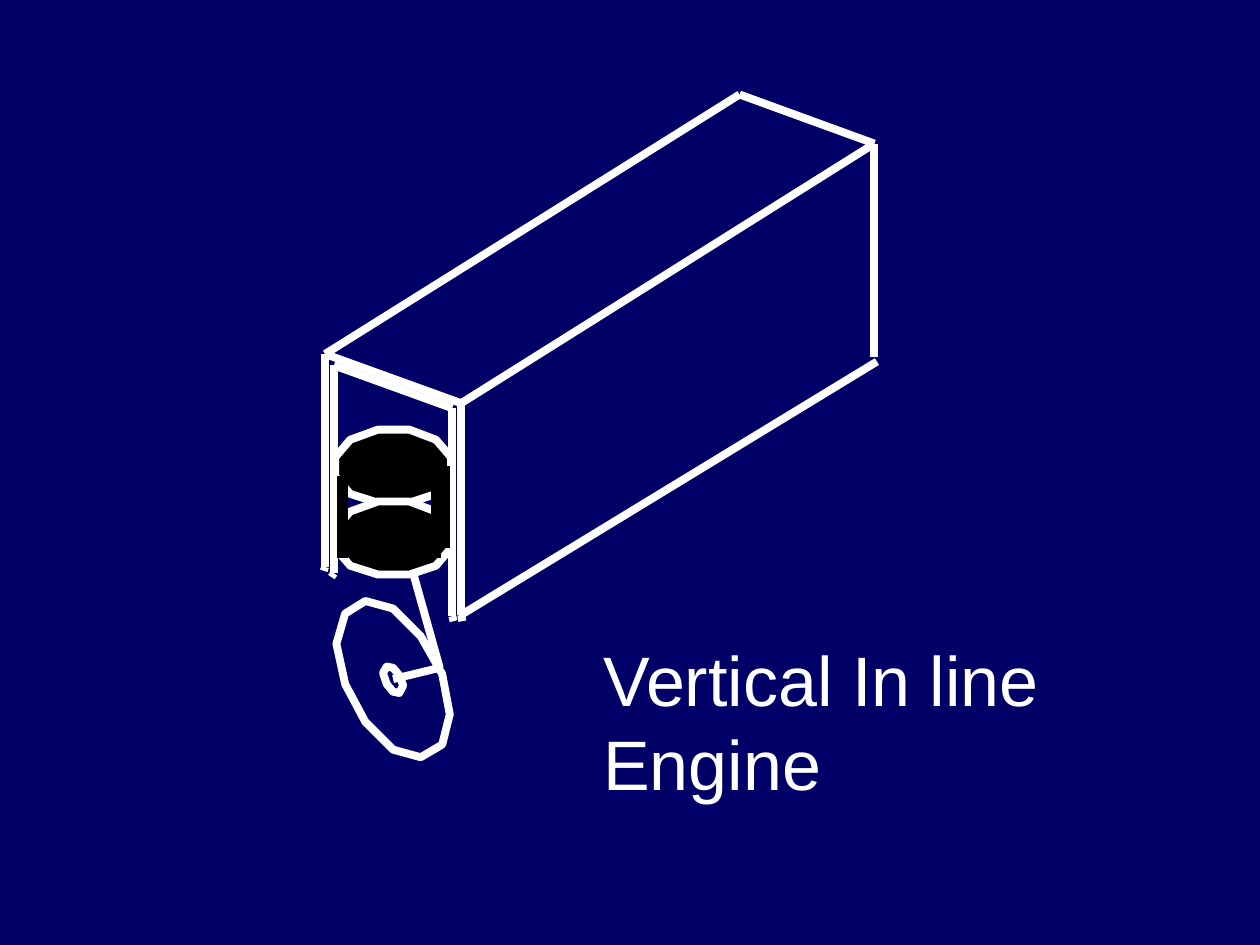
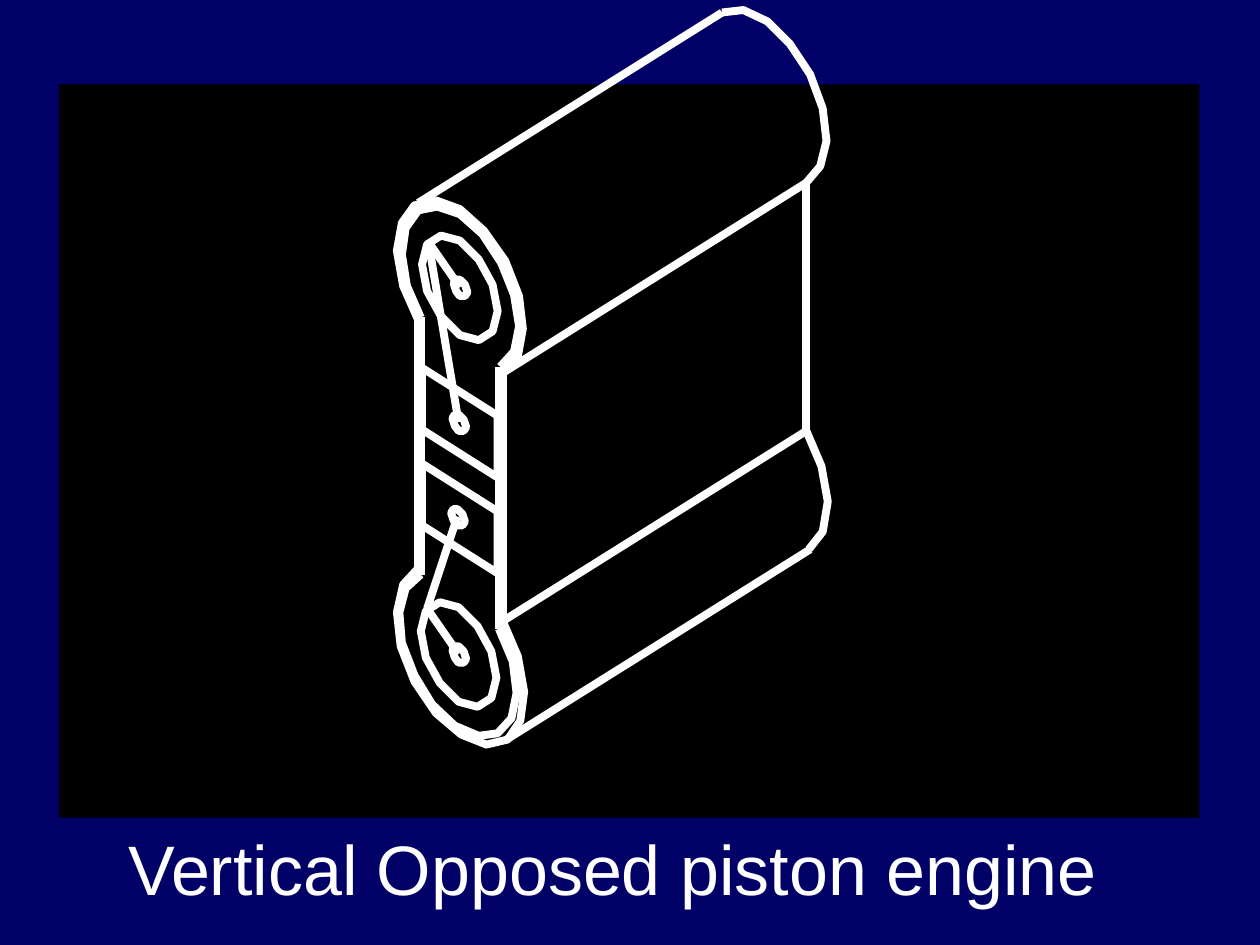
from dataclasses import dataclass

from lxml import etree
from pptx import Presentation
from pptx import util as u
from pptx.dml.color import RGBColor
from pptx.enum import text

COLORS = {"navy": "000066", "white": "FFFFFF", "black": "000000"}
CAPTION_FONT = {"name": "Arial", "size": u.Pt(40)}
CAPTION_SPACING = {"line_spacing": u.Pt(48)}
PEN = 4.5
WALL_PEN = 6

# Grid: 1000 columns by 750 rows of square cells
COLUMNS, ROWS = 1000, 750
CELL = u.Inches(10) // COLUMNS

Point = tuple[float, float]


@dataclass(frozen=True)
class Edge:
    start: Point
    end: Point
    color: str = "white"
    width: float = PEN


@dataclass(frozen=True)
class Outline:
    points: tuple[Point, ...]
    closed: bool = True
    fill: str | None = None


@dataclass(frozen=True)
class Caption:
    words: str
    column: float
    row: float
    columns: float
    rows: float


def rgb(name: str) -> RGBColor:
    return RGBColor.from_string(COLORS[name])


def shift(points, by: Point) -> tuple[Point, ...]:
    return tuple((x + by[0], y + by[1]) for x, y in points)


def draw_edge(shapes, edge: Edge) -> None:
    ends = [round(value * CELL) for value in (*edge.start, *edge.end)]
    line = shapes.add_connector(1, *ends)
    line.line.color.rgb = rgb(edge.color)
    line.line.width = u.Pt(edge.width)
    properties = line._element.spPr
    etree.SubElement(properties, properties.tag.replace("}spPr", "}effectLst").replace(
        "presentationml", "drawingml").replace("2006/main}", "2006/main}"))


def draw_outline(shapes, outline: Outline) -> None:
    first, *rest = outline.points
    builder = shapes.build_freeform(*first, scale=CELL)
    builder.add_line_segments(rest, close=outline.closed)
    figure = builder.convert_to_shape()
    figure.shadow.inherit = False
    if outline.fill:
        figure.fill.solid()
        figure.fill.fore_color.rgb = rgb(outline.fill)
    else:
        figure.fill.background()
    figure.line.color.rgb = rgb("white")
    figure.line.width = u.Pt(PEN)


def draw(shapes, parts) -> None:
    for part in parts:
        (draw_edge if isinstance(part, Edge) else draw_outline)(shapes, part)


def draw_caption(shapes, caption: Caption) -> None:
    place = (caption.column, caption.row, caption.columns, caption.rows)
    frame = shapes.add_textbox(*(round(value * CELL) for value in place)).text_frame
    frame.word_wrap = True
    frame.auto_size = text.MSO_AUTO_SIZE.SHAPE_TO_FIT_TEXT
    paragraph = frame.paragraphs[0]
    run = paragraph.add_run()
    run.text = caption.words
    for target, values in ((run.font, CAPTION_FONT), (paragraph, CAPTION_SPACING)):
        for key, value in values.items():
            setattr(target, key, value)
    run.font.color.rgb = rgb("white")


def new_slide(deck):
    slide = deck.slides.add_slide(deck.slide_layouts[6])
    slide.background.fill.solid()
    slide.background.fill.fore_color.rgb = rgb("navy")
    return slide


# In-line engine
CYLINDER_BLOCK = [Edge(*ends) for ends in (
    # Front uprights and their feet
    ((258, 450), (258, 281)), ((366, 488), (366, 320)),
    ((359, 489), (359, 324)), ((265, 455), (265, 290)),
    ((258, 450), (257, 453)), ((265, 455), (263, 458)),
    ((360, 493), (359, 489)), ((367, 493), (366, 488)),
    # Front top, back, and edges running backwards
    ((366, 320), (258, 281)), ((359, 324), (265, 290)),
    ((694, 283), (694, 114)), ((694, 114), (587, 75)),
    ((366, 320), (694, 114)), ((366, 488), (696, 287)),
    ((258, 281), (587, 75)),
)]
CRANK_HUB = ((304, 534), (307, 529), (312, 530), (317, 536),
             (320, 544), (317, 550), (312, 549), (307, 543))
CRANK_WHEEL = ((267, 511), (274, 487), (290, 477), (312, 483), (334, 505), (351, 535),
               (357, 567), (351, 591), (334, 601), (312, 595), (290, 573), (274, 543))
PISTON_CROWN = ((278, 392), (266, 378), (266, 363), (278, 349), (300, 341), (325, 341),
                (346, 349), (358, 363), (358, 378), (346, 392), (325, 399), (300, 399))
CRANK = [
    Outline(CRANK_HUB),
    Edge((312, 539), (349, 530)),
    Edge((349, 530), (312, 398)),
    Outline(CRANK_WHEEL),
]
PISTON = [Outline(shift(PISTON_CROWN, (0, drop)), fill="black") for drop in (0, 57)]
PISTON += [Edge((x, bottom), (x, bottom - 65), "black", WALL_PEN)
           for x, bottom in ((346, 443), (353, 435), (272, 443))]

# Opposed piston engine: outlines relative to a hub
WHEEL = ((30, 19), (26, -2), (15, -22), (0, -37), (-15, -41), (-26, -34),
         (-30, -18), (-26, 3), (-15, 23), (0, 38), (15, 42), (26, 35))
PIN = ((6, 4), (4, -2), (0, -6), (-3, -6), (-5, -3), (-3, 3), (0, 7), (4, 7))
THROW = (-25, -36)
PISTON_SIDE = ((335, 341), (335, 292), (395, 330), (395, 379))
DEPTH = (241, -151)
CASINGS = (
    # Upper inner and outer, lower inner and outer, then the two at the back
    ((397, 291), (408, 279), (412, 259), (408, 234), (398, 209), (383, 186), (365, 170),
     (347, 164), (332, 167), (322, 181), (319, 202), (323, 227), (334, 252)),
    ((399, 296), (411, 283), (415, 261), (412, 235), (401, 207), (384, 183), (365, 166),
     (346, 159), (329, 163), (319, 177), (315, 199), (320, 227), (332, 254)),
    ((334, 456), (322, 467), (317, 486), (319, 510), (329, 536), (343, 559), (361, 576),
     (380, 584), (395, 582), (406, 570), (410, 550), (407, 525), (396, 499)),
    ((332, 451), (320, 464), (315, 486), (318, 513), (329, 541), (346, 566), (366, 583),
     (386, 591), (403, 587), (413, 572), (416, 549), (411, 521), (399, 493)),
    ((640, 145), (651, 132), (656, 112), (653, 86), (643, 59), (627, 35), (609, 17),
     (590, 8), (573, 10)),
    ((642, 436), (653, 422), (657, 398), (652, 370), (640, 342)),
)
UPRIGHTS = ((399, 296, 493), (332, 254, 451), (334, 252, 456), (396, 291, 499),
            (640, 145, 342))
RECEDING = ((399, 493), (399, 296), (332, 161), (402, 587))


def crank_train(hub: Point, piston_pin: Point) -> list:
    crank_pin = shift([hub], THROW)[0]
    return [
        Edge(crank_pin, hub),
        Outline(shift(WHEEL, hub)),
        Outline(shift(PIN, hub)),
        Edge(crank_pin, piston_pin),
        Outline(shift(PIN, piston_pin)),
    ]


def opposed_engine() -> list:
    parts = [Outline(casing, closed=False) for casing in CASINGS]
    parts += [Edge((x, top), (x, bottom)) for x, top, bottom in UPRIGHTS]
    parts += [Edge(corner, shift([corner], DEPTH)[0]) for corner in RECEDING]
    parts += [Outline(shift(PISTON_SIDE, (0, drop))) for drop in (0, 76)]
    parts += crank_train((365, 228), (364, 335))
    parts += crank_train((364, 519), (363, 410))
    return parts


def add_inline_slide(deck) -> None:
    shapes = new_slide(deck).shapes
    draw(shapes, CYLINDER_BLOCK + CRANK + PISTON)
    draw_caption(shapes, Caption("Vertical In line Engine", 469, 500, 467, 143))


def add_opposed_slide(deck) -> None:
    shapes = new_slide(deck).shapes
    panel = shapes.add_shape(1, *(value * CELL for value in (47, 67, 905, 582)))
    panel.shadow.inherit = False
    panel.fill.solid()
    panel.fill.fore_color.rgb = rgb("black")
    panel.line.fill.background()
    draw(shapes.add_group_shape().shapes, opposed_engine())
    draw_caption(shapes, Caption("Vertical Opposed piston engine", 92, 650, 854, 77))


def main() -> None:
    deck = Presentation()
    deck.slide_width, deck.slide_height = COLUMNS * CELL, ROWS * CELL
    add_inline_slide(deck)
    add_opposed_slide(deck)
    deck.save("out.pptx")


if __name__ == "__main__":
    main()
